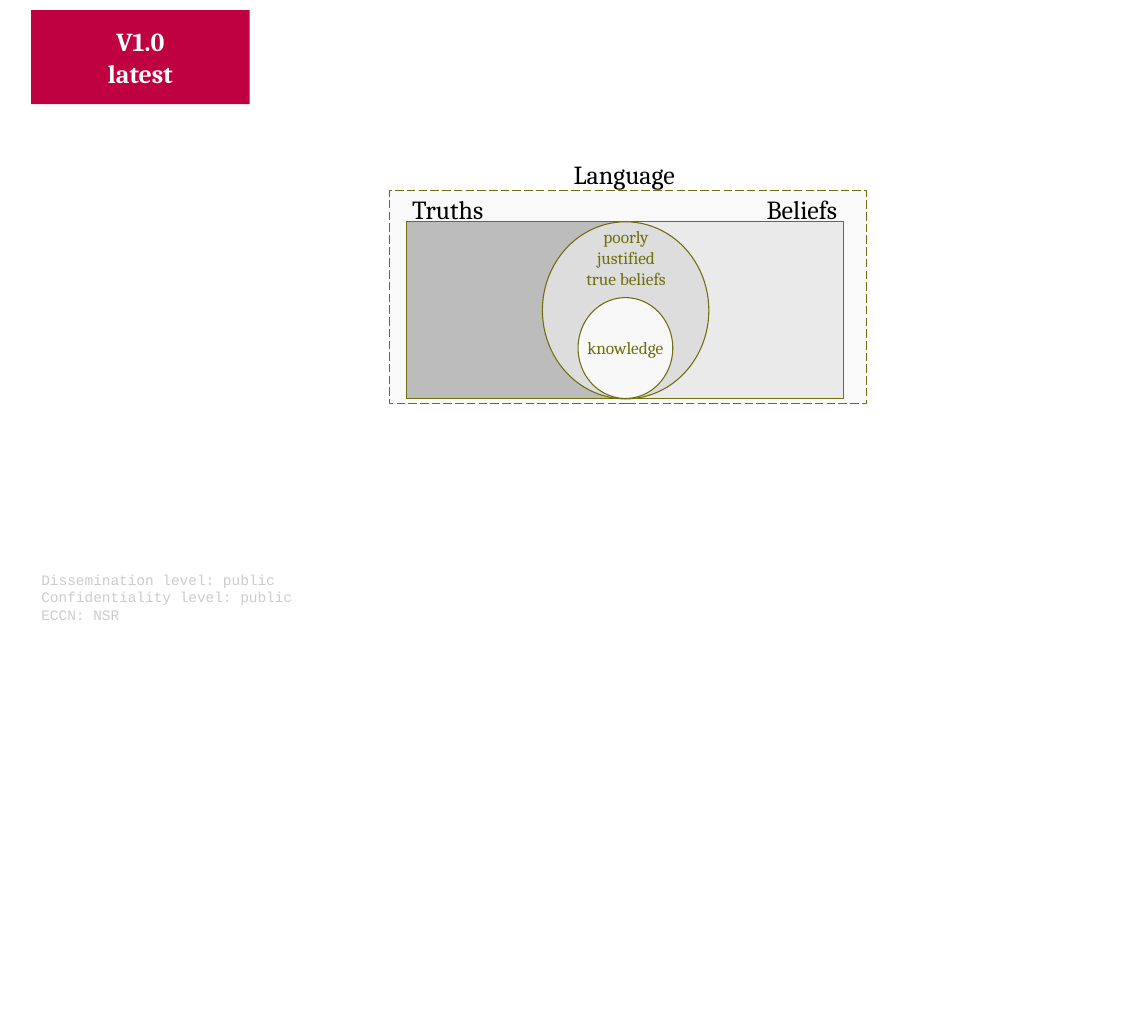
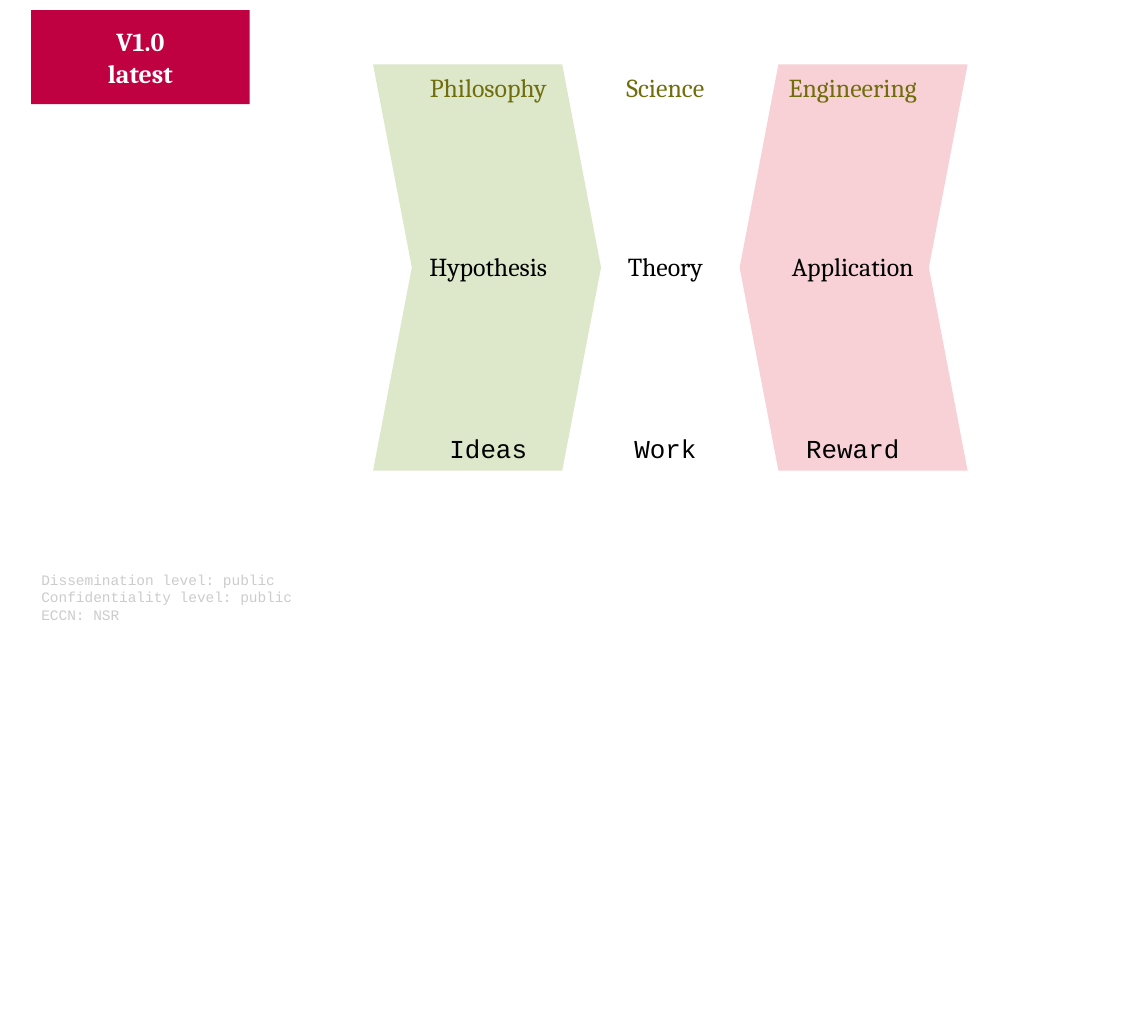
from typing import NamedTuple, Optional

from lxml import etree
from pptx import Presentation
from pptx.dml.color import RGBColor
from pptx.enum.dml import MSO_LINE
from pptx.enum.shapes import MSO_SHAPE
from pptx.enum.text import MSO_ANCHOR, PP_ALIGN
from pptx.oxml.ns import qn
from pptx.util import Cm, Pt

RECTANGLE, OVAL, CHEVRON = MSO_SHAPE.RECTANGLE, MSO_SHAPE.OVAL, MSO_SHAPE.CHEVRON
LEFT, CENTER = PP_ALIGN.LEFT, PP_ALIGN.CENTER
TOP, MIDDLE = MSO_ANCHOR.TOP, MSO_ANCHOR.MIDDLE
LONG_DASH = MSO_LINE.LONG_DASH

WHITE = RGBColor(0xFF, 0xFF, 0xFF)
BLACK = RGBColor(0x00, 0x00, 0x00)
CRIMSON = RGBColor(0xBF, 0x00, 0x41)
OLIVE = RGBColor(0x70, 0x6E, 0x0C)
OFF_WHITE = RGBColor(0xF9, 0xF9, 0xF9)
GRAY = RGBColor(0x80, 0x80, 0x80)
LIGHT_GRAY = RGBColor(0xDD, 0xDD, 0xDD)
FOOTER_GRAY = RGBColor(0xCC, 0xCC, 0xCC)
GREEN = RGBColor(0xDD, 0xE8, 0xCB)
PINK = RGBColor(0xF7, 0xD1, 0xD5)

SERIF, MONO = "Cambria", "Courier New"


class Box(NamedTuple):
    """Left, top, width and height in centimetres."""
    left: float
    top: float
    width: float
    height: float

    def lengths(self) -> list:
        return [Cm(value) for value in self]


class Style(NamedTuple):
    size: float
    color: RGBColor
    font: str = SERIF
    bold: bool = False
    align: PP_ALIGN = CENTER
    anchor: MSO_ANCHOR = TOP
    wrap: bool = True


class Region(NamedTuple):
    kind: MSO_SHAPE
    box: Box
    fill: RGBColor
    opacity: int = 100
    dash: Optional[MSO_LINE] = None
    word: str = ""


class Label(NamedTuple):
    box: Box
    lines: list
    style: Style


class Row(NamedTuple):
    middle: float
    height: float
    words: list
    style: Style


class Column(NamedTuple):
    center: float
    width: float


BADGE = Style(17.9, WHITE, bold=True, anchor=MIDDLE, wrap=False)
FOOTER = Style(10, FOOTER_GRAY, MONO, align=LEFT)
HEADING = Style(18, BLACK)
NOTE = Style(12, OLIVE)
REGION_WORD = NOTE._replace(anchor=MIDDLE, wrap=False)
FIELD = Style(17.9, OLIVE, anchor=MIDDLE)
STAGE = FIELD._replace(color=BLACK)
OUTCOME = STAGE._replace(font=MONO)

# Language diagram: two halves meeting at the centre line
CENTER_X, HALF_WIDTH = 15.24, 5.33
HALF_TOP, HALF_HEIGHT = 5.41, 4.32
REGIONS = [
    Region(RECTANGLE, Box(9.5, 4.65, 11.63, 5.2), OFF_WHITE, dash=LONG_DASH),
    Region(RECTANGLE, Box(CENTER_X - HALF_WIDTH, HALF_TOP, HALF_WIDTH, HALF_HEIGHT), GRAY, 50),
    Region(RECTANGLE, Box(CENTER_X, HALF_TOP, HALF_WIDTH, HALF_HEIGHT), LIGHT_GRAY, 50),
    Region(OVAL, Box(13.23, HALF_TOP, 4.06, HALF_HEIGHT), LIGHT_GRAY),
    Region(OVAL, Box(14.1, 7.26, 2.31, 2.46), WHITE, 80, word="knowledge"),
]
LABELS = [
    Label(Box(13.74, 3.75, 3.12, 1.02), ["Language"], HEADING._replace(align=LEFT)),
    Label(Box(9.65, 4.6, 2.54, 1), ["Truths"], HEADING),
    Label(Box(18.29, 4.6, 2.54, 1), ["Beliefs"], HEADING),
    Label(Box(14, 5.4, 2.54, 1.73), ["poorly", "justified", "true beliefs"], NOTE),
]

# Grid from ideas to reward
COLUMNS = [Column(11.91, 3.56), Column(16.23, 3.56), Column(20.8, 4.06)]
ROWS = [
    Row(2.13, 1.73, ["Philosophy", "Science", "Engineering"], FIELD),
    Row(6.5, 1.73, ["Hypothesis", "Theory", "Application"], STAGE),
    Row(10.92, 1.02, ["Ideas", "Work", "Reward"], OUTCOME),
]
CHEVRON_TOP, CHEVRON_WIDTH, CHEVRON_HEIGHT = 1.57, 5.56, 9.91
CHEVRON_POINT = 0.17


def write(shape, lines: list, style: Style) -> None:
    frame = shape.text_frame
    frame.word_wrap = style.wrap
    frame.vertical_anchor = style.anchor
    for index, line in enumerate(lines):
        para = frame.add_paragraph() if index else frame.paragraphs[0]
        para.alignment = style.align
        span = para.add_run()
        span.text = line
        span.font.name = style.font
        span.font.size = Pt(style.size)
        span.font.bold = style.bold
        span.font.color.rgb = style.color


def add_label(page, label: Label) -> None:
    shape = page.shapes.add_textbox(*label.box.lengths())
    write(shape, label.lines, label.style)


def add_filled(page, kind: MSO_SHAPE, box: Box, fill: RGBColor):
    shape = page.shapes.add_shape(kind, *box.lengths())
    shape.shadow.inherit = False
    shape.fill.solid()
    shape.fill.fore_color.rgb = fill
    shape.line.fill.background()
    return shape


def add_region(page, region: Region) -> None:
    shape = add_filled(page, region.kind, region.box, region.fill)
    shape.line.color.rgb = OLIVE
    shape.line.width = Pt(0)
    if region.dash is not None:
        shape.line.dash_style = region.dash
    if region.opacity < 100:
        color = shape.element.spPr.find(qn("a:solidFill"))[0]
        etree.SubElement(color, qn("a:alpha"), val=str(region.opacity * 1000))
    if region.word:
        write(shape, [region.word], REGION_WORD)


def add_page(deck):
    """Add a blank page with the version badge and the footer."""
    page = deck.slides.add_slide(deck.slide_layouts[6])
    badge = add_filled(page, RECTANGLE, Box(0.76, 0.25, 5.33, 2.29), CRIMSON)
    write(badge, ["V1.0", "latest"], BADGE)
    footer = ["Dissemination level: public", "Confidentiality level: public", "ECCN: NSR"]
    add_label(page, Label(Box(0.76, 13.8, 14.76, 1.47), footer, FOOTER))
    return page


def build_language(deck) -> None:
    page = add_page(deck)
    for region in REGIONS:
        add_region(page, region)
    for label in LABELS:
        add_label(page, label)


def build_progress(deck) -> None:
    page = add_page(deck)
    # Chevrons pointing at the middle column
    for left, fill, rotation in [(9.1, GREEN, 0), (18.04, PINK, 180)]:
        box = Box(left, CHEVRON_TOP, CHEVRON_WIDTH, CHEVRON_HEIGHT)
        chevron = add_filled(page, CHEVRON, box, fill)
        chevron.adjustments[0] = CHEVRON_POINT
        chevron.rotation = rotation
    # Words centred on the grid
    for row in ROWS:
        for column, word in zip(COLUMNS, row.words):
            box = Box(column.center - column.width / 2, row.middle - row.height / 2,
                      column.width, row.height)
            add_label(page, Label(box, [word], row.style))


def main() -> None:
    deck = Presentation()
    deck.slide_width, deck.slide_height = Cm(28), Cm(25)
    build_language(deck)
    build_progress(deck)
    deck.save("out.pptx")


if __name__ == "__main__":
    main()
